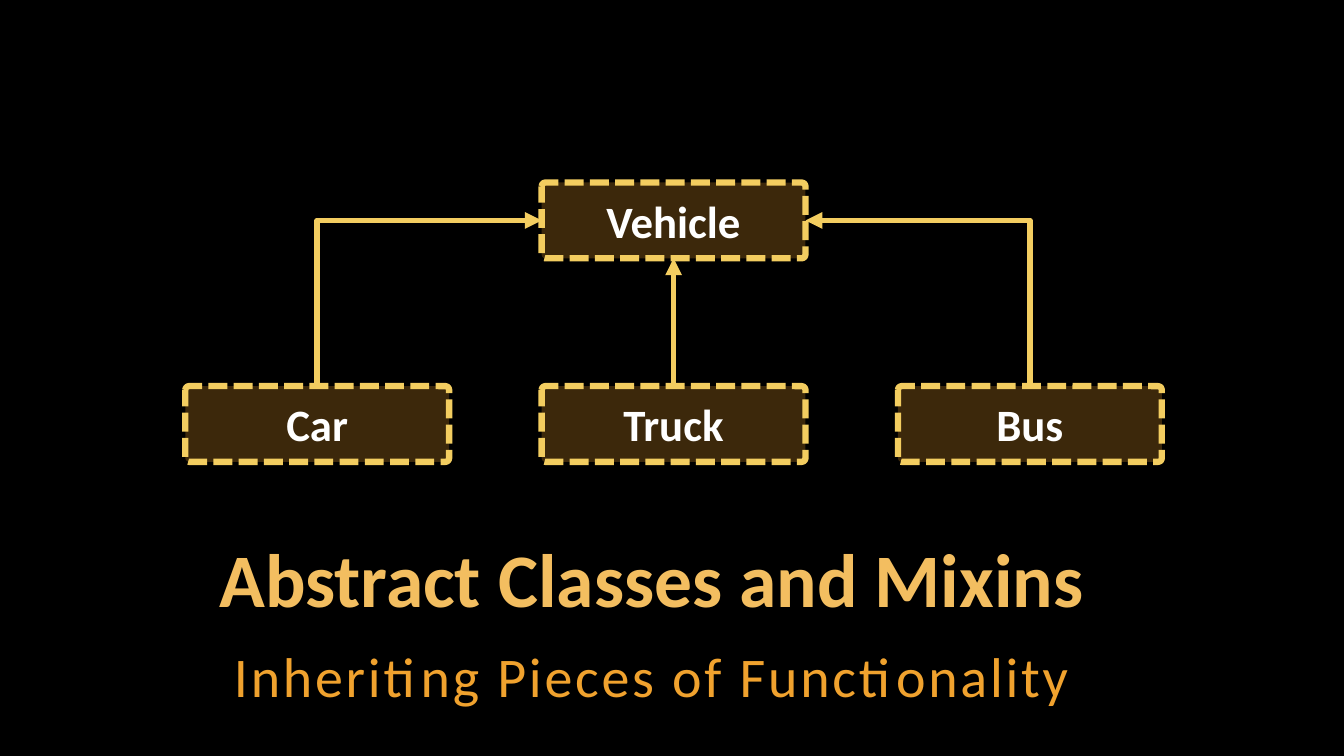
from dataclasses import dataclass

from pptx import Presentation
from pptx.dml.color import RGBColor
from pptx.enum.dml import MSO_LINE
from pptx.enum.shapes import MSO_CONNECTOR, MSO_SHAPE
from pptx.enum.text import MSO_ANCHOR, PP_ALIGN
from pptx.oxml.ns import qn
from pptx.shapes.autoshape import Shape
from pptx.shapes.connector import Connector
from pptx.slide import Slide
from pptx.text.text import Font
from pptx.util import Cm, Pt
from lxml.etree import SubElement


@dataclass(frozen=True)
class Theme:
    font: str = "Calibri"
    background: RGBColor = RGBColor(0x00, 0x00, 0x00)
    title: RGBColor = RGBColor(0xF3, 0xBE, 0x60)
    accent: RGBColor = RGBColor(0xF0, 0xA2, 0x2E)
    outline: RGBColor = RGBColor(0xF3, 0xCD, 0x60)
    label: RGBColor = RGBColor(0xFF, 0xFF, 0xFF)
    title_size: int = 54
    subtitle_size: int = 40
    label_size: int = 32
    box_line: float = 4.5
    arrow_line: float = 4
    box_alpha: int = 25


@dataclass(frozen=True)
class ClassBox:
    name: str
    column: int
    top: float


@dataclass(frozen=True)
class Heading:
    text: str
    top: float
    height: float
    size: int
    color: RGBColor
    anchor: MSO_ANCHOR
    line_spacing: float
    bold: bool = False
    tracking: int = 0


@dataclass(frozen=True)
class Inheritance:
    """An arrow from a child's top to a site on the parent's edge."""
    child: str
    parent_site: int
    rotation: int = 0
    flip_h: bool = False


THEME = Theme()
TOP, LEFT, BOTTOM, RIGHT = range(4)
BOX_WIDTH, BOX_HEIGHT = 6.65, 1.91
FIRST_COLUMN, COLUMN_PITCH = 4.67, 8.98
PARENT_TOP, CHILD_TOP = 4.6, 9.73
PARENT = "Vehicle"

BOXES = [
    ClassBox(PARENT, 1, PARENT_TOP),
    ClassBox("Car", 0, CHILD_TOP),
    ClassBox("Truck", 1, CHILD_TOP),
    ClassBox("Bus", 2, CHILD_TOP),
]
ARROWS = [
    Inheritance("Truck", BOTTOM),
    Inheritance("Car", LEFT, rotation=90, flip_h=True),
    Inheritance("Bus", RIGHT, rotation=270),
]
HEADINGS = [
    Heading("Abstract Classes and Mixins", 13.54, 2.29, THEME.title_size,
            THEME.title, MSO_ANCHOR.BOTTOM, 0.9, bold=True),
    Heading("Inheriting Pieces of Functionality", 15.98, 1.9,
            THEME.subtitle_size, THEME.accent, MSO_ANCHOR.TOP, 1.05,
            tracking=2),
]


def style_font(font: Font, size: int, color: RGBColor, bold: bool) -> None:
    font.name = THEME.font
    font.size = Pt(size)
    font.bold = bold
    font.color.rgb = color


def add_heading(s: Slide, heading: Heading) -> None:
    sp = s.shapes.add_textbox(Cm(4.01), Cm(heading.top),
                              Cm(24.84), Cm(heading.height))
    tf = sp.text_frame
    tf.word_wrap = True
    tf.vertical_anchor = heading.anchor
    tf.margin_left = tf.margin_right = Cm(0.1)
    tf.margin_top = tf.margin_bottom = Cm(0.1)
    p = tf.paragraphs[0]
    p.alignment = PP_ALIGN.CENTER
    p.line_spacing = heading.line_spacing
    r = p.add_run()
    r.text = heading.text
    style_font(r.font, heading.size, heading.color, heading.bold)
    if heading.tracking:
        r.font._element.set("spc", str(heading.tracking * 100))


def add_class_box(s: Slide, box: ClassBox) -> Shape:
    sp = s.shapes.add_shape(
        MSO_SHAPE.ROUNDED_RECTANGLE,
        Cm(FIRST_COLUMN + box.column * COLUMN_PITCH), Cm(box.top),
        Cm(BOX_WIDTH), Cm(BOX_HEIGHT))
    sp.adjustments[0] = 0.05
    sp.shadow.inherit = False
    sp.fill.solid()
    sp.fill.fore_color.rgb = THEME.accent
    color = sp._element.spPr.find(qn("a:solidFill")).find(qn("a:srgbClr"))
    SubElement(color, qn("a:alpha")).set("val", str(THEME.box_alpha * 1000))
    sp.line.color.rgb = THEME.outline
    sp.line.width = Pt(THEME.box_line)
    sp.line.dash_style = MSO_LINE.SQUARE_DOT
    tf = sp.text_frame
    tf.vertical_anchor = MSO_ANCHOR.MIDDLE
    p = tf.paragraphs[0]
    p.alignment = PP_ALIGN.CENTER
    r = p.add_run()
    r.text = box.name
    style_font(r.font, THEME.label_size, THEME.label, True)
    return sp


def bend_once(cxn: Connector, arrow: Inheritance) -> None:
    """Give the connector one corner, keeping its two ends in place."""
    left, top, width, height = cxn.left, cxn.top, cxn.width, cxn.height
    cxn.left = left + (width - height) // 2
    cxn.top = top + (height - width) // 2
    cxn.width, cxn.height = height, width
    sp_pr = cxn._element.spPr
    xfrm = sp_pr.find(qn("a:xfrm"))
    xfrm.set("rot", str(arrow.rotation * 60000))
    xfrm.set("flipH", str(int(arrow.flip_h)))
    xfrm.set("flipV", "1")
    sp_pr.find(qn("a:prstGeom")).set("prst", "bentConnector2")


def add_arrow(s: Slide, arrow: Inheritance, boxes: dict[str, Shape]) -> None:
    kind = MSO_CONNECTOR.ELBOW if arrow.rotation else MSO_CONNECTOR.STRAIGHT
    cxn = s.shapes.add_connector(kind, 0, 0, 0, 0)
    cxn.begin_connect(boxes[arrow.child], TOP)
    cxn.end_connect(boxes[PARENT], arrow.parent_site)
    if arrow.rotation:
        bend_once(cxn, arrow)
    cxn.line.color.rgb = THEME.outline
    cxn.line.width = Pt(THEME.arrow_line)
    sp_pr = cxn._element.spPr
    SubElement(sp_pr.find(qn("a:ln")), qn("a:tailEnd")).set("type", "triangle")
    SubElement(sp_pr, qn("a:effectLst"))


def main() -> None:
    prs = Presentation()
    prs.slide_width, prs.slide_height = Cm(33.87), Cm(19.05)
    s = prs.slides.add_slide(prs.slide_layouts[6])
    s.background.fill.solid()
    s.background.fill.fore_color.rgb = THEME.background
    for heading in HEADINGS:
        add_heading(s, heading)
    boxes = {box.name: add_class_box(s, box) for box in BOXES}
    for arrow in ARROWS:
        add_arrow(s, arrow, boxes)
    prs.save("out.pptx")


if __name__ == "__main__":
    main()
